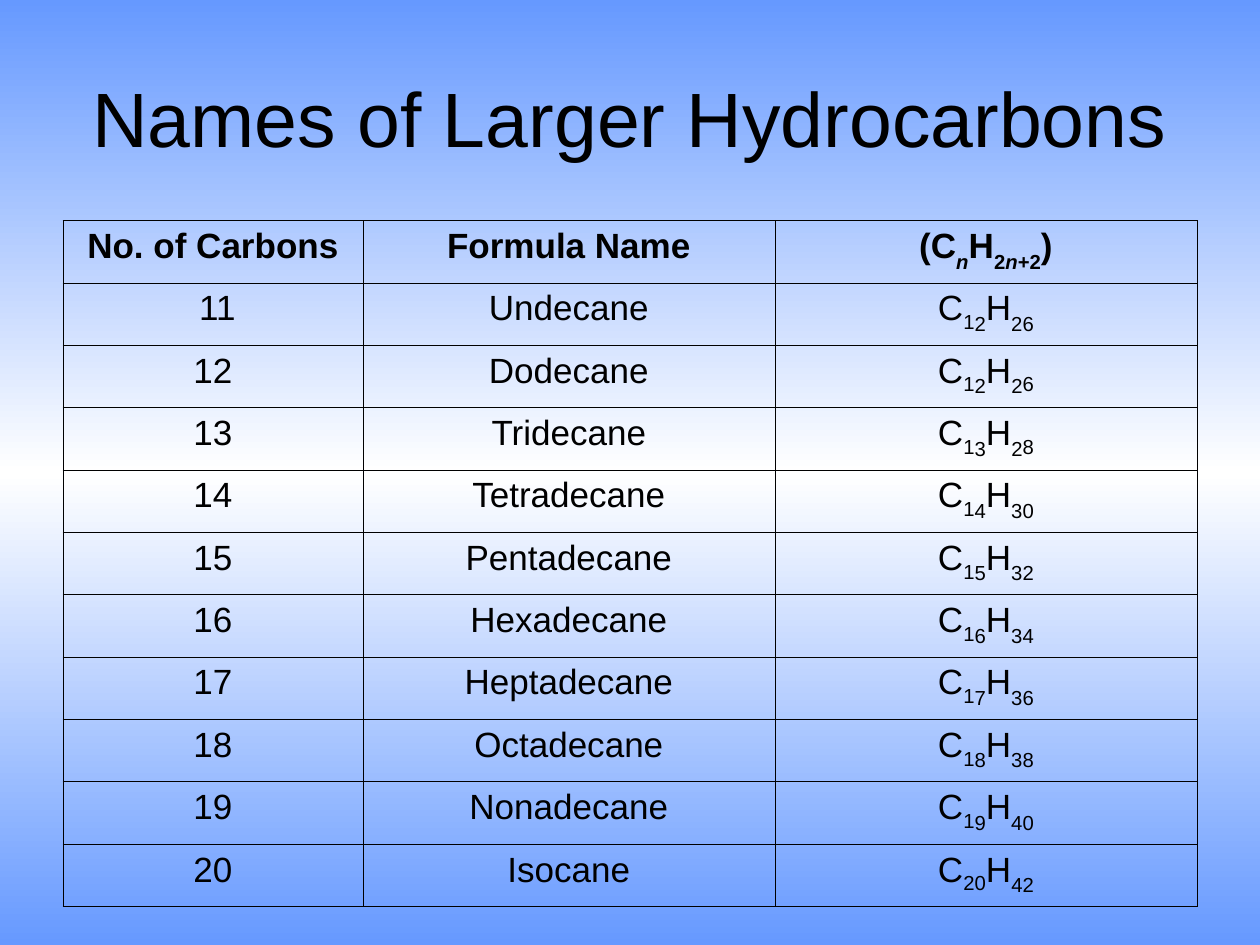
"""Build a slide with a table of the names of larger hydrocarbons."""
from copy import deepcopy

from pptx import Presentation
from pptx.dml.color import RGBColor
from pptx.enum.text import MSO_ANCHOR, PP_ALIGN
from pptx.oxml.ns import qn
from pptx.util import Inches, Pt
from lxml import etree

BLACK = RGBColor(0x00, 0x00, 0x00)
BLUE = RGBColor(0x66, 0x99, 0xFF)
WHITE = RGBColor(0xFF, 0xFF, 0xFF)
CENTER = PP_ALIGN.CENTER
MIDDLE = MSO_ANCHOR.MIDDLE

MARGIN = 0.5
COLUMN_WIDTHS = [2.38, 3.27, 3.35]
ROW_HEIGHT = 0.5 * 0.99
HANGING_INDENT = Inches(0.38)
BORDER_WIDTH = Pt(0.45)
HIGH, LOW = -25, -30

HEADERS = ["No. of Carbons", "Formula Name"]
HYDROCARBONS = [
    (11, "Undecane", "12", "26"),
    (12, "Dodecane", "12", "26"),
    (13, "Tridecane", "13", "28"),
    (14, "Tetradecane", "14", "30"),
    (15, "Pentadecane", "15", "32"),
    (16, "Hexadecane", "16", "34"),
    (17, "Heptadecane", "17", "36"),
    (18, "Octadecane", "18", "38"),
    (19, "Nonadecane", "19", "40"),
    (20, "Isocane", "20", "42"),
]


def add_text(paragraph, text, size=20, bold=False, italic=False, baseline=0, font="Arial"):
    paragraph.alignment = CENTER
    run = paragraph.add_run()
    run.text = text
    run.font.name = font
    run.font.size = Pt(size)
    run.font.bold = bold
    run.font.italic = italic
    run.font.color.rgb = BLACK
    if baseline:
        run.font._element.set("baseline", str(baseline * 1000))


presentation = Presentation()
presentation.slide_width = Inches(10)
presentation.slide_height = Inches(7.5)
slide = presentation.slides.add_slide(presentation.slide_layouts[6])

background = slide.background.fill
background.gradient()
background.gradient_angle = 270
stop_list = slide._element.find(".//" + qn("a:gsLst"))
stop_list.insert(1, deepcopy(stop_list[0]))
for stop, color, position in zip(background.gradient_stops, [BLUE, WHITE, BLUE], [0, 0.5, 1]):
    stop.color.rgb = color
    stop.position = position

title = slide.shapes.add_textbox(Inches(MARGIN), Inches(0.3), Inches(9), Inches(1.25))
title.text_frame.word_wrap = True
title.text_frame.vertical_anchor = MIDDLE
add_text(title.text_frame.paragraphs[0], "Names of Larger Hydrocarbons", size=44)

row_count = len(HYDROCARBONS) + 1
table = slide.shapes.add_table(
    row_count, len(COLUMN_WIDTHS), Inches(MARGIN), Inches(1.75),
    Inches(sum(COLUMN_WIDTHS)), Inches(ROW_HEIGHT * row_count),
).table
table.first_row = False
table.horz_banding = False
for column, width in zip(table.columns, COLUMN_WIDTHS):
    column.width = Inches(width)
for row in table.rows:
    row.height = Inches(ROW_HEIGHT)

for cell in table.iter_cells():
    properties = cell._tc.get_or_add_tcPr()
    for side in ["a:lnL", "a:lnR", "a:lnT", "a:lnB"]:
        line = etree.SubElement(properties, qn(side), w=str(BORDER_WIDTH))
        line_fill = etree.SubElement(line, qn("a:solidFill"))
        etree.SubElement(line_fill, qn("a:srgbClr"), val=str(BLACK))
    cell.fill.background()
    paragraph_properties = cell.text_frame.paragraphs[0]._p.get_or_add_pPr()
    paragraph_properties.set("marL", str(HANGING_INDENT))
    paragraph_properties.set("indent", str(-HANGING_INDENT))

for column_index, header in enumerate(HEADERS):
    add_text(table.cell(0, column_index).text_frame.paragraphs[0], header, bold=True)
general_formula = table.cell(0, 2).text_frame.paragraphs[0]
for text, baseline in [("(C", 0), ("n", LOW), ("H", 0), ("2", LOW), ("n", LOW), ("+2", LOW), (")", 0)]:
    add_text(general_formula, text, bold=True, italic=text == "n", baseline=baseline)

for row_index, (number, name, carbons, hydrogens) in enumerate(HYDROCARBONS, start=1):
    number_text, name_text, formula = [
        table.cell(row_index, column_index).text_frame.paragraphs[0] for column_index in range(3)
    ]
    if number == 11:
        add_text(number_text, " ", font="Times New Roman")
    add_text(number_text, str(number))
    add_text(name_text, name)
    unit_baseline = HIGH if number == 20 else LOW
    last_baseline = HIGH if number in (12, 13) else LOW
    for text, baseline in [
        ("C", 0), (carbons[0], HIGH), (carbons[1], unit_baseline),
        ("H", 0), (hydrogens[0], LOW), (hydrogens[1], last_baseline),
    ]:
        add_text(formula, text, baseline=baseline)

presentation.save("out.pptx")
